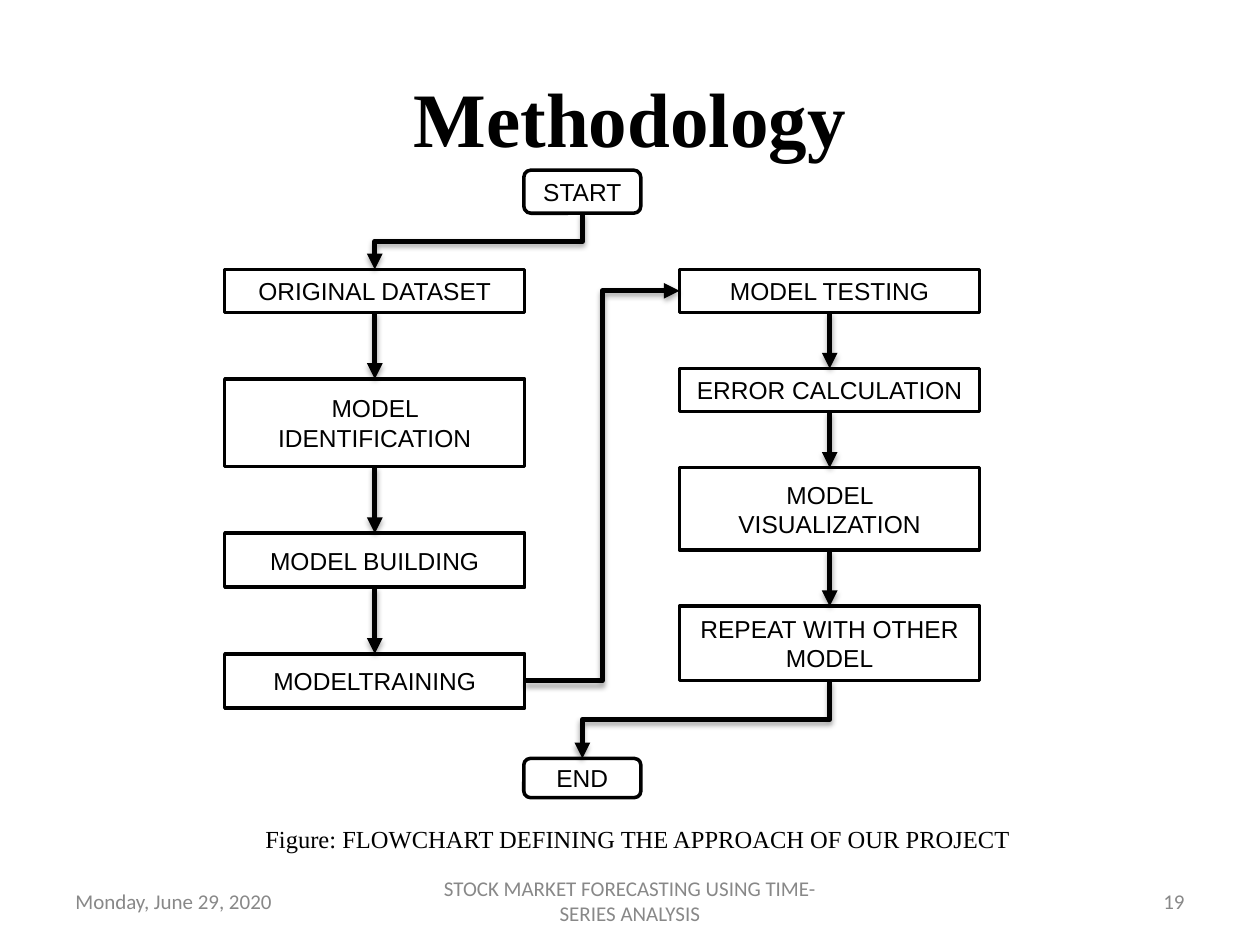
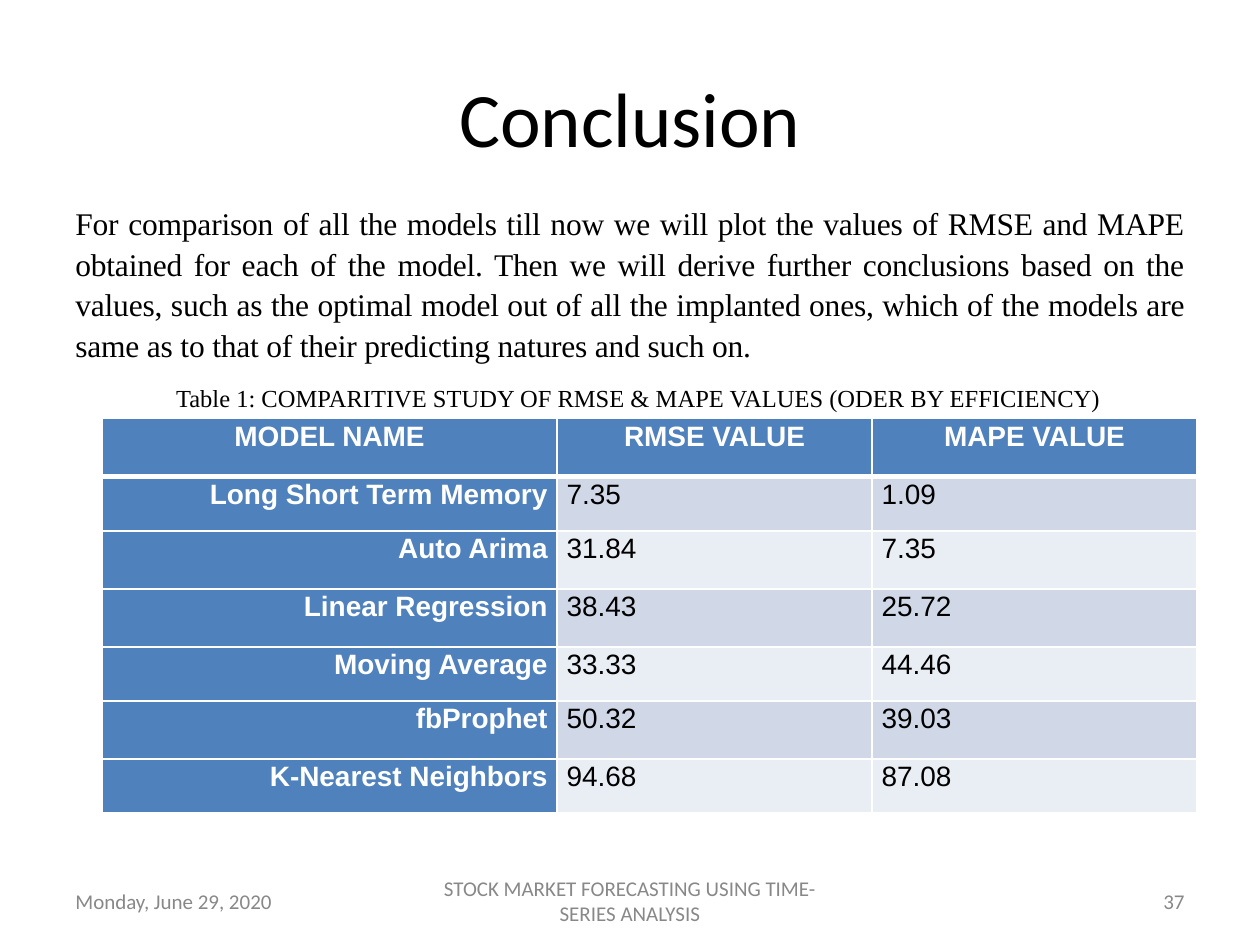
import itertools

import pptx
import pptx.dml.color
import pptx.enum.shapes
import pptx.enum.text
import pptx.oxml
import pptx.oxml.ns
import pptx.util

Cm = pptx.util.Cm
Pt = pptx.util.Pt
RGBColor = pptx.dml.color.RGBColor
Align = pptx.enum.text.PP_ALIGN
Anchor = pptx.enum.text.MSO_ANCHOR
Preset = pptx.enum.shapes.MSO_SHAPE
Route = pptx.enum.shapes.MSO_CONNECTOR
qn = pptx.oxml.ns.qn

BLACK = RGBColor(0x00, 0x00, 0x00)
WHITE = RGBColor(0xFF, 0xFF, 0xFF)
FOOTER_GRAY = RGBColor(0x88, 0x88, 0x88)
HEADER_BLUE = RGBColor(0x4F, 0x81, 0xBD)
BAND_DARK = RGBColor(0xD0, 0xD8, 0xE8)
BAND_LIGHT = RGBColor(0xE9, 0xED, 0xF4)

SANS, SERIF, OFFICE = "Arial", "Times New Roman", "Calibri"
TOP, LEFT, BOTTOM, RIGHT = range(4)

DATE = "Monday, June 29, 2020"
PROJECT = "STOCK MARKET FORECASTING USING TIME-SERIES ANALYSIS"

ARROWHEAD = '<a:tailEnd %s type="triangle"/>' % pptx.oxml.ns.nsdecls("a")
SOFT_SHADOW = (
    '<a:effectLst %s><a:outerShdw blurRad="40000" dist="23000" dir="5400000" rotWithShape="0">'
    '<a:srgbClr val="000000"><a:alpha val="35000"/></a:srgbClr></a:outerShdw></a:effectLst>'
    % pptx.oxml.ns.nsdecls("a")
)


def apply(target, formats):
    for name, value in formats.items():
        setattr(target, name, value)


class Deck:
    """Holds the shared style and the slide being filled."""

    caption_font = {"name": SERIF, "size": Pt(14)}
    step_font = {"name": SANS, "size": Pt(14)}
    footer_font = {"name": OFFICE, "size": Pt(12)}

    def __init__(self):
        self.presentation = pptx.Presentation()
        apply(self.presentation, {"slide_width": Cm(25.4), "slide_height": Cm(19.05)})
        self.slide = None

    def new_slide(self, title, number, title_font):
        self.slide = self.presentation.slides.add_slide(self.presentation.slide_layouts[6])
        self.text(title, (1.27, 0.76, 22.86, 3.18), {"size": Pt(44), **title_font},
                  align=Align.CENTER, anchor=Anchor.MIDDLE)
        for words, left, width, align in (
            (DATE, 1.27, 5.93, Align.LEFT),
            (PROJECT, 8.68, 8.04, Align.CENTER),
            (str(number), 18.2, 5.93, Align.RIGHT),
        ):
            self.text(words, (left, 17.65, width, 1.02), self.footer_font, FOOTER_GRAY,
                      align, Anchor.MIDDLE)

    def put_words(self, frame, words, font, color, **paragraph_formats):
        paragraph = frame.paragraphs[0]
        apply(paragraph, paragraph_formats)
        run = paragraph.add_run()
        run.text = words
        apply(run.font, font)
        run.font.color.rgb = color
        return run

    def text(self, words, box, font, color=BLACK, align=Align.LEFT, anchor=Anchor.TOP, **spacing):
        frame = self.slide.shapes.add_textbox(*map(Cm, box)).text_frame
        apply(frame, {"word_wrap": True, "vertical_anchor": anchor})
        return self.put_words(frame, words, font, color, alignment=align, **spacing)

    def step(self, words, box, preset=Preset.RECTANGLE):
        step = self.slide.shapes.add_shape(preset, *map(Cm, box))
        step.shadow.inherit = False
        step.fill.solid()
        step.fill.fore_color.rgb = WHITE
        step.line.color.rgb = BLACK
        step.line.width = Pt(2)
        apply(step.text_frame, {"word_wrap": True, "vertical_anchor": Anchor.MIDDLE})
        self.put_words(step.text_frame, words, self.step_font, BLACK, alignment=Align.CENTER)
        return step

    def column(self, left, top, width, gap, steps):
        """Stacks (words, height) steps with equal gaps and links each to the next."""
        stack = []
        for words, height in steps:
            stack.append(self.step(words, (left, top, width, height)))
            top += height + gap
        for upper, lower in itertools.pairwise(stack):
            self.arrow(upper, BOTTOM, lower, TOP)
        return stack

    def arrow(self, source, source_side, target, target_side, route=Route.STRAIGHT):
        arrow = self.slide.shapes.add_connector(route, 0, 0, 0, 0)
        arrow.begin_connect(source, source_side)
        arrow.end_connect(target, target_side)
        arrow.line.color.rgb = BLACK
        arrow.line.width = Pt(3)
        arrow.element.spPr.find(qn("a:ln")).append(pptx.oxml.parse_xml(ARROWHEAD))
        arrow.element.spPr.append(pptx.oxml.parse_xml(SOFT_SHADOW))
        if route == Route.ELBOW and source_side == BOTTOM:
            self.turn_down_left(arrow)

    def turn_down_left(self, arrow):
        """Turns an elbow a quarter so that it leaves downwards and ends to the left."""
        across, down = arrow.width, arrow.height
        middle_x, middle_y = arrow.left + across // 2, arrow.top + down // 2
        apply(arrow, {"left": middle_x - down // 2, "top": middle_y - across // 2,
                      "width": down, "height": across})
        frame = arrow.element.spPr.find(qn("a:xfrm"))
        frame.attrib.pop("flipH", None)
        frame.set("rot", "5400000")

    def borders(self, cell, widths):
        properties = cell._tc.get_or_add_tcPr()
        for side, width in zip("LRTB", widths):
            properties.append(pptx.oxml.parse_xml(
                f'<a:ln{side} {pptx.oxml.ns.nsdecls("a")} w="{Pt(width)}"><a:solidFill>'
                f'<a:srgbClr val="{WHITE}"/></a:solidFill></a:ln{side}>'))

    def table(self, rows, left, top, widths, heights):
        box = map(Cm, (left, top, sum(widths), sum(heights)))
        table = self.slide.shapes.add_table(len(rows), len(widths), *box).table
        for column, width in zip(table.columns, widths):
            column.width = Cm(width)
        for row, height in zip(table.rows, heights):
            row.height = Cm(height)
        for r, values in enumerate(rows):
            for c, value in enumerate(values):
                cell = table.cell(r, c)
                heading = r == 0 or c == 0
                align = Align.CENTER if r == 0 else Align.RIGHT if c == 0 else Align.LEFT
                self.borders(cell, (1, 1, 3 if r == 1 else 1, 3 if r == 0 else 1))
                apply(cell, {"margin_left": Cm(0.19), "margin_right": Cm(0.19),
                             "margin_top": 0, "margin_bottom": 0})
                cell.fill.solid()
                band = BAND_DARK if r % 2 else BAND_LIGHT
                cell.fill.fore_color.rgb = HEADER_BLUE if heading else band
                self.put_words(cell.text_frame, value,
                               {"name": SANS, "size": Pt(16), "bold": heading},
                               WHITE if heading else BLACK, alignment=align, line_spacing=1.07)


def methodology(deck):
    deck.new_slide("Methodology", 19, {"name": SERIF, "bold": True})
    start = deck.step("START", (10.56, 3.43, 2.36, 0.87), Preset.ROUNDED_RECTANGLE)
    end = deck.step("END", (10.56, 15.29, 2.36, 0.79), Preset.ROUNDED_RECTANGLE)
    modelling = deck.column(4.53, 5.43, 6.05, 1.34, (
        ("ORIGINAL DATASET", 0.87),
        ("MODEL IDENTIFICATION", 1.77),
        ("MODEL BUILDING", 1.09),
        ("MODELTRAINING", 1.09),
    ))
    evaluation = deck.column(13.7, 5.43, 6.05, 1.13, (
        ("MODEL TESTING", 0.87),
        ("ERROR CALCULATION", 0.87),
        ("MODEL VISUALIZATION", 1.66),
        ("REPEAT WITH OTHER MODEL", 1.5),
    ))
    deck.arrow(start, BOTTOM, modelling[0], TOP, Route.ELBOW)
    deck.arrow(modelling[-1], RIGHT, evaluation[0], LEFT, Route.ELBOW)
    deck.arrow(evaluation[-1], BOTTOM, end, TOP, Route.ELBOW)
    deck.text("Figure: FLOWCHART DEFINING THE APPROACH OF OUR PROJECT",
              (5.1, 16.48, 16.08, 0.86), deck.caption_font)


def conclusion(deck):
    deck.new_slide("Conclusion", 37, {"name": OFFICE})
    summary = deck.text(
        "For comparison of all the models till now we will plot the values of RMSE and MAPE "
        "obtained for each of the model. Then we will derive further conclusions based on the "
        "values, such as the optimal model out of all the implanted ones, which of the models "
        "are same as to that of their predicting natures and such on.",
        (1.27, 3.94, 22.86, 3.5), {"name": SERIF, "size": Pt(18)},
        align=Align.JUSTIFY, line_spacing=1.07, space_after=Pt(8))
    summary.font._element.set("spc", "-10")
    deck.text("Table 1: COMPARITIVE STUDY OF RMSE & MAPE VALUES (ODER BY EFFICIENCY)",
              (3.3, 7.59, 22.1, 0.86), deck.caption_font)
    deck.table((
        ("MODEL NAME", "RMSE VALUE", "MAPE VALUE"),
        ("Long Short Term Memory", "7.35", "1.09"),
        ("Auto Arima", "31.84", "7.35"),
        ("Linear Regression", "38.43", "25.72"),
        ("Moving Average", "33.33", "44.46"),
        ("fbProphet", "50.32", "39.03"),
        ("K-Nearest Neighbors", "94.68", "87.08"),
    ), 2.06, 8.44, (9.17, 6.35, 6.55), (1.17, 1.09, 1.17, 1.17, 1.09, 1.17, 1.09))


def main():
    deck = Deck()
    methodology(deck)
    conclusion(deck)
    deck.presentation.save("out.pptx")


if __name__ == "__main__":
    main()
